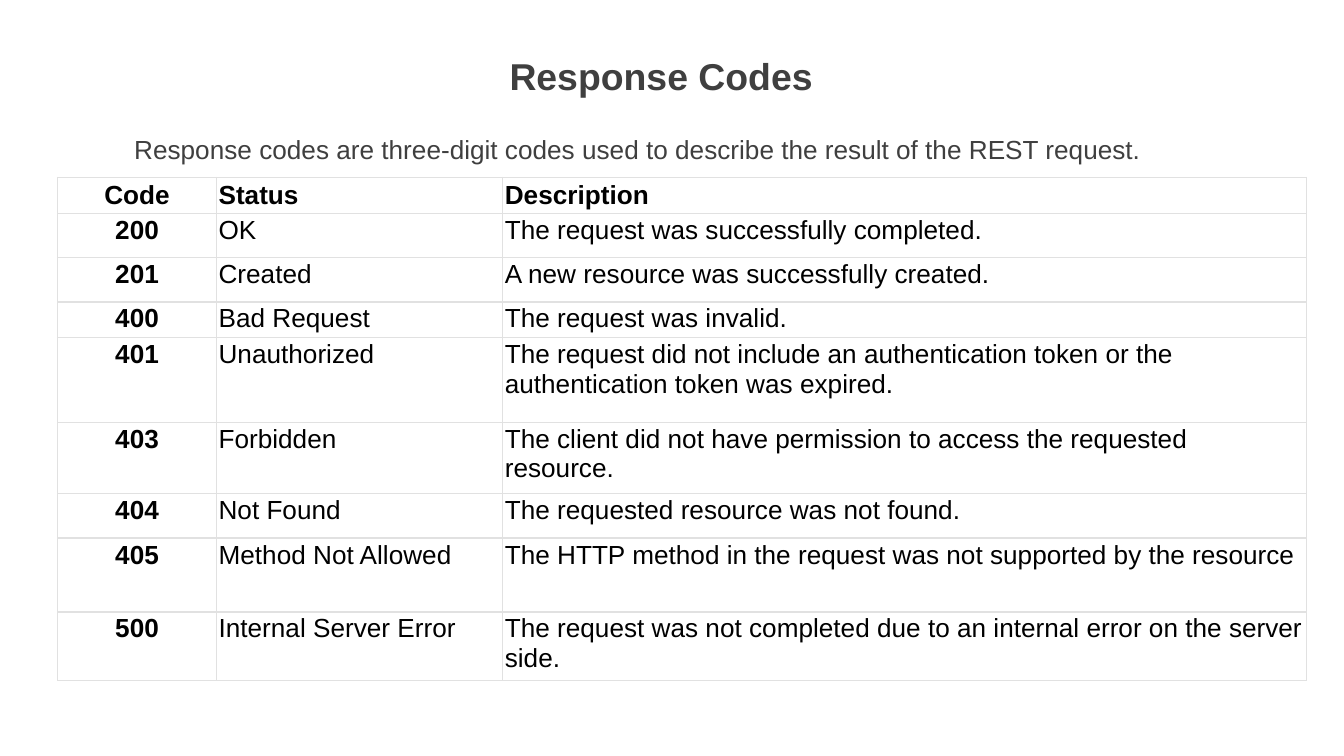
from dataclasses import dataclass

import pptx
import pptx.dml.color
import pptx.enum.text
import pptx.oxml
import pptx.oxml.ns
import pptx.util
from pptx.util import Inches

RGBColor = pptx.dml.color.RGBColor
Align = pptx.enum.text.PP_ALIGN
Anchor = pptx.enum.text.MSO_ANCHOR

GREY = RGBColor(0x3F, 0x3F, 0x3F)
BLACK = RGBColor(0, 0, 0)
WHITE = RGBColor(0xFF, 0xFF, 0xFF)
BORDER = RGBColor(0xE1, 0xE1, 0xE1)
FONT = "Arial"
SLIDE_WIDTH = Inches(10)
SLIDE_HEIGHT = SLIDE_WIDTH * 9 // 16
COLUMN_WIDTHS = (1.18, 2.13, 5.98)
CELL_MARGIN = pptx.util.Pt(1.2)


@dataclass(frozen=True)
class ResponseCode:
    code: str
    status: str
    description: str
    height: float


HEADER = ResponseCode("Code", "Status", "Description", 0.23)
RESPONSES = (
    ResponseCode("200", "OK", "The request was successfully completed.", 0.33),
    ResponseCode("201", "Created", "A new resource was successfully created.", 0.33),
    ResponseCode("400", "Bad Request", "The request was invalid.", 0.23),
    ResponseCode("401", "Unauthorized",
                 "The request did not include an authentication token or the "
                 "authentication token was expired.", 0.63),
    ResponseCode("403", "Forbidden",
                 "The client did not have permission to access the requested resource.", 0.53),
    ResponseCode("404", "Not Found", "The requested resource was not found.", 0.33),
    ResponseCode("405", "Method Not Allowed",
                 "The HTTP method in the request was not supported by the resource", 0.55),
    ResponseCode("500", "Internal Server Error",
                 "The request was not completed due to an internal error on the server side.", 0.51),
)


def write_text(frame, text: str, *, size: float = 14, color: RGBColor = BLACK,
               bold: bool = False, align: Align = Align.LEFT) -> None:
    frame.word_wrap = True
    paragraph = frame.paragraphs[0]
    paragraph.alignment = align
    run = paragraph.add_run()
    run.text = text
    run.font.name = FONT
    run.font.size = pptx.util.Pt(size)
    run.font.bold = bold
    run.font.color.rgb = color


def add_borders(cell, color: RGBColor, width: float) -> None:
    properties = cell._tc.get_or_add_tcPr()
    for position, side in enumerate(("lnL", "lnR", "lnT", "lnB")):
        line = pptx.oxml.parse_xml(
            f'<a:{side} {pptx.oxml.ns.nsdecls("a")} w="{pptx.util.Pt(width)}">'
            f'<a:solidFill><a:srgbClr val="{color}"/></a:solidFill></a:{side}>')
        properties.insert(position, line)


def add_title(slide, text: str) -> None:
    title = slide.shapes.title
    title.left, title.top = Inches(-0.08), Inches(0.25)
    title.width, title.height = Inches(10), Inches(0.63)
    title.text_frame.auto_size = pptx.enum.text.MSO_AUTO_SIZE.NONE
    title.text_frame.vertical_anchor = Anchor.MIDDLE
    write_text(title.text_frame, text, size=20, color=GREY, bold=True, align=Align.CENTER)


def add_introduction(slide, text: str) -> None:
    introduction = slide.shapes.add_textbox(Inches(0.9), Inches(0.91), Inches(8.03), Inches(0.4))
    introduction.text_frame.vertical_anchor = Anchor.MIDDLE
    write_text(introduction.text_frame, text, color=GREY)


def add_response_table(slide, rows: tuple[ResponseCode, ...]) -> None:
    table = slide.shapes.add_table(
        len(rows), len(COLUMN_WIDTHS), Inches(0.43), Inches(1.32),
        Inches(sum(COLUMN_WIDTHS)), Inches(sum(row.height for row in rows))).table
    table.horz_banding = False
    for column, width in zip(table.columns, COLUMN_WIDTHS):
        column.width = Inches(width)

    for row_index, row in enumerate(rows):
        is_header = row_index == 0
        table.rows[row_index].height = Inches(row.height)
        for column_index, text in enumerate((row.code, row.status, row.description)):
            is_code = column_index == 0
            cell = table.cell(row_index, column_index)
            cell.margin_left = cell.margin_right = CELL_MARGIN
            cell.margin_top = cell.margin_bottom = CELL_MARGIN
            cell.vertical_anchor = Anchor.MIDDLE if is_header else Anchor.TOP
            cell.fill.solid()
            cell.fill.fore_color.rgb = WHITE
            add_borders(cell, BORDER, 0.75)
            write_text(cell.text_frame, text, bold=is_header or is_code,
                       align=Align.CENTER if is_code else Align.LEFT)


def main() -> None:
    presentation = pptx.Presentation()
    presentation.slide_width = SLIDE_WIDTH
    presentation.slide_height = SLIDE_HEIGHT
    slide = presentation.slides.add_slide(presentation.slide_layouts.get_by_name("Title Only"))

    add_title(slide, "Response Codes")
    add_introduction(slide, "Response codes are three-digit codes used to describe "
                            "the result of the REST request.")
    add_response_table(slide, (HEADER, *RESPONSES))
    presentation.save("out.pptx")


if __name__ == "__main__":
    main()
